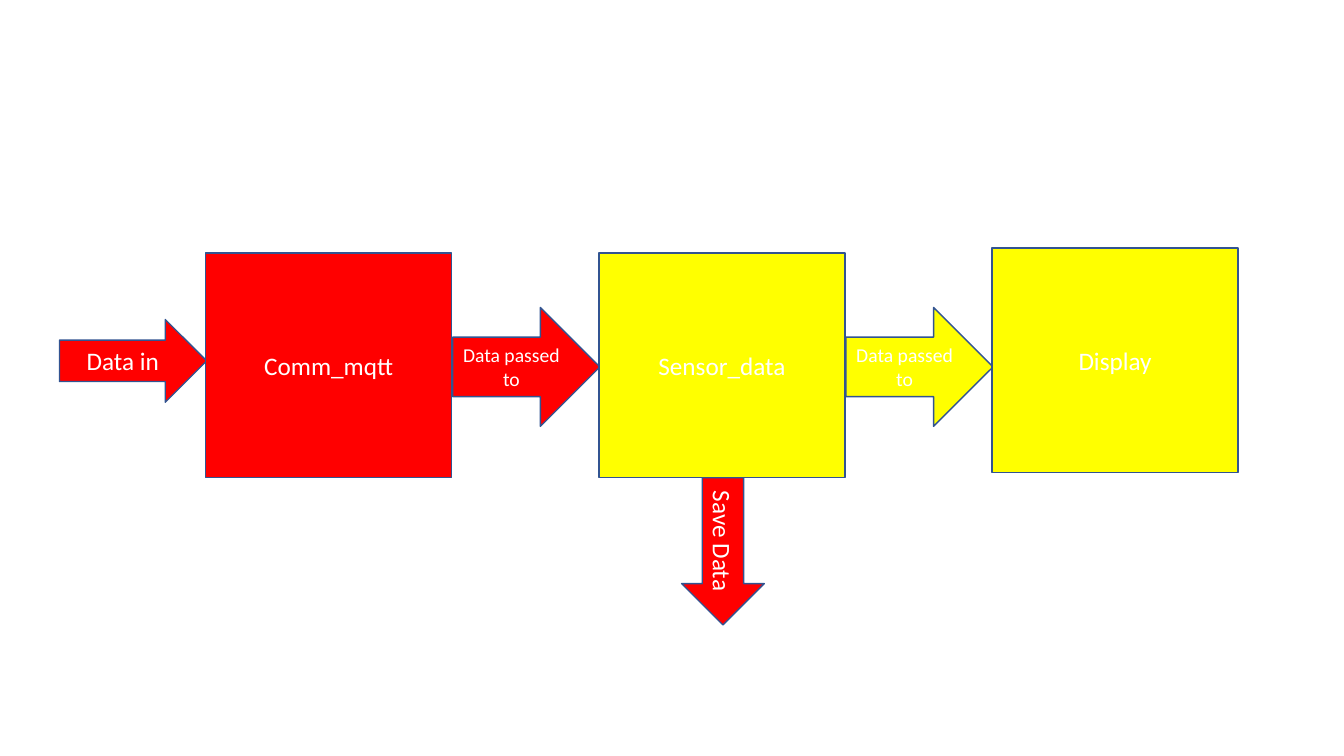
from pptx import Presentation, util as u
from pptx.dml.color import RGBColor
from pptx.enum import shapes, text

COLORS = {"red": "FF0000", "yellow": "FFFF00", "line": "325491", "text": "FFFFFF"}
FONT = "Calibri"
BOX_W, BOX_H = 2.44, 2.23
ARROW_W = 1.46
FIRST_X, STEP = 2.04, 3.9  # left of the first box, distance between boxes


class FlowSlide:
    def __init__(self, prs):
        self.s = prs.slides.add_slide(prs.slide_layouts[6])

    def shape(self, kind, label, at, fill, size):
        sp = self.s.shapes.add_shape(kind, *(u.Inches(v) for v in at))
        sp.shadow.inherit = False
        sp.fill.solid()
        sp.fill.fore_color.rgb = RGBColor.from_string(COLORS[fill])
        sp.line.color.rgb = RGBColor.from_string(COLORS["line"])
        sp.line.width = u.Pt(1)
        tf = sp.text_frame
        tf.word_wrap = True
        tf.vertical_anchor = text.MSO_ANCHOR.MIDDLE
        tf.text = label
        p = tf.paragraphs[0]
        p.alignment = text.PP_ALIGN.CENTER
        font = p.runs[0].font
        font.name, font.size = FONT, u.Pt(size)
        font.color.rgb = RGBColor.from_string(COLORS["text"])
        return sp

    def box(self, label, x, y, fill):
        self.shape(shapes.MSO_SHAPE.RECTANGLE, label, (x, y, BOX_W, BOX_H), fill, 18)

    def arrow(self, label, x, y, height, fill, size=18, rotation=0):
        sp = self.shape(shapes.MSO_SHAPE.RIGHT_ARROW, label,
                        (x, y, ARROW_W, height), fill, size)
        sp.rotation = rotation


def main():
    prs = Presentation()
    prs.slide_width, prs.slide_height = u.Inches(13.33), u.Inches(7.5)
    flow = FlowSlide(prs)

    flow.arrow("Data in", 0.59, 3.17, 0.82, "red")
    flow.arrow("Save Data", 6.44, 5.06, 0.82, "red", rotation=90)

    modules = [("Comm_mqtt", 2.51, "red"), ("Sensor_data", 2.51, "yellow"),
               ("Display", 2.46, "yellow")]
    for i, (label, y, fill) in enumerate(modules):
        x = FIRST_X + i * STEP
        flow.box(label, x, y, fill)
        if i < len(modules) - 1:
            flow.arrow("Data passed to", x + BOX_W + 0.01, 3.05, 1.18, fill, size=14)

    prs.save("out.pptx")


if __name__ == "__main__":
    main()
